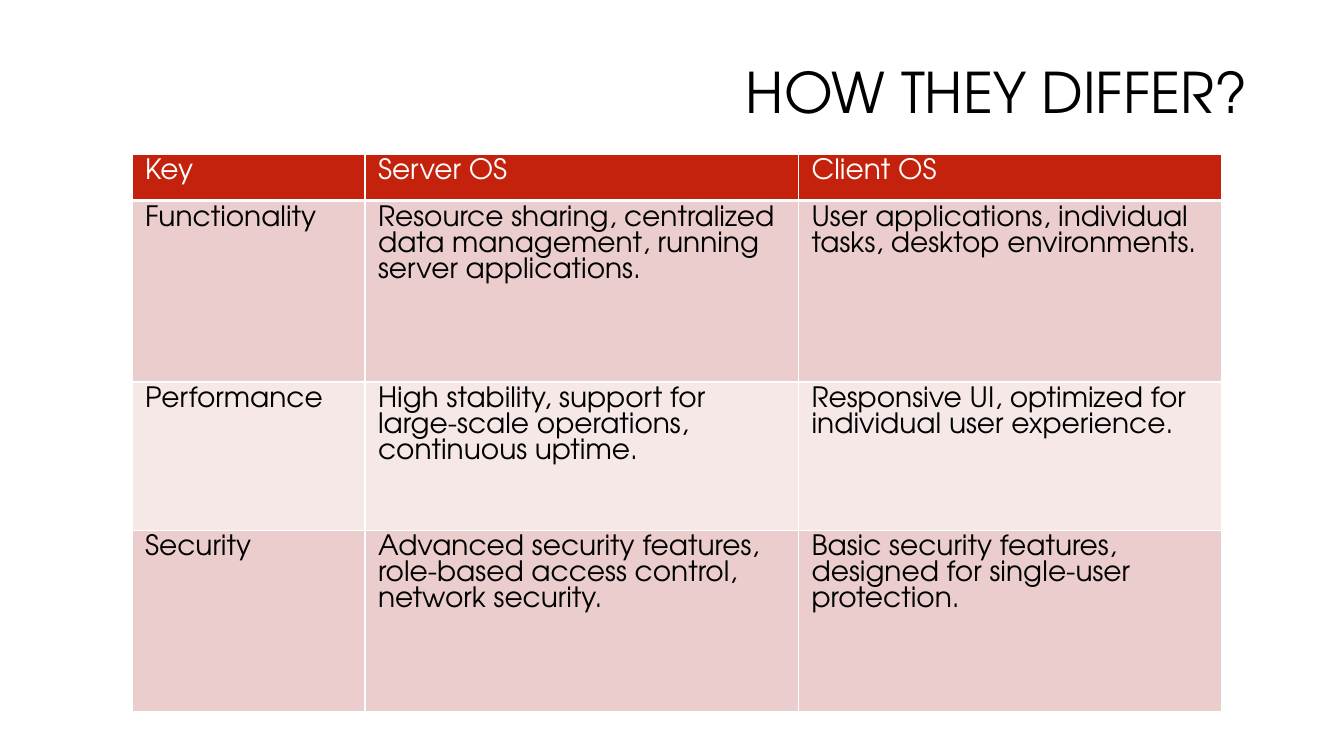
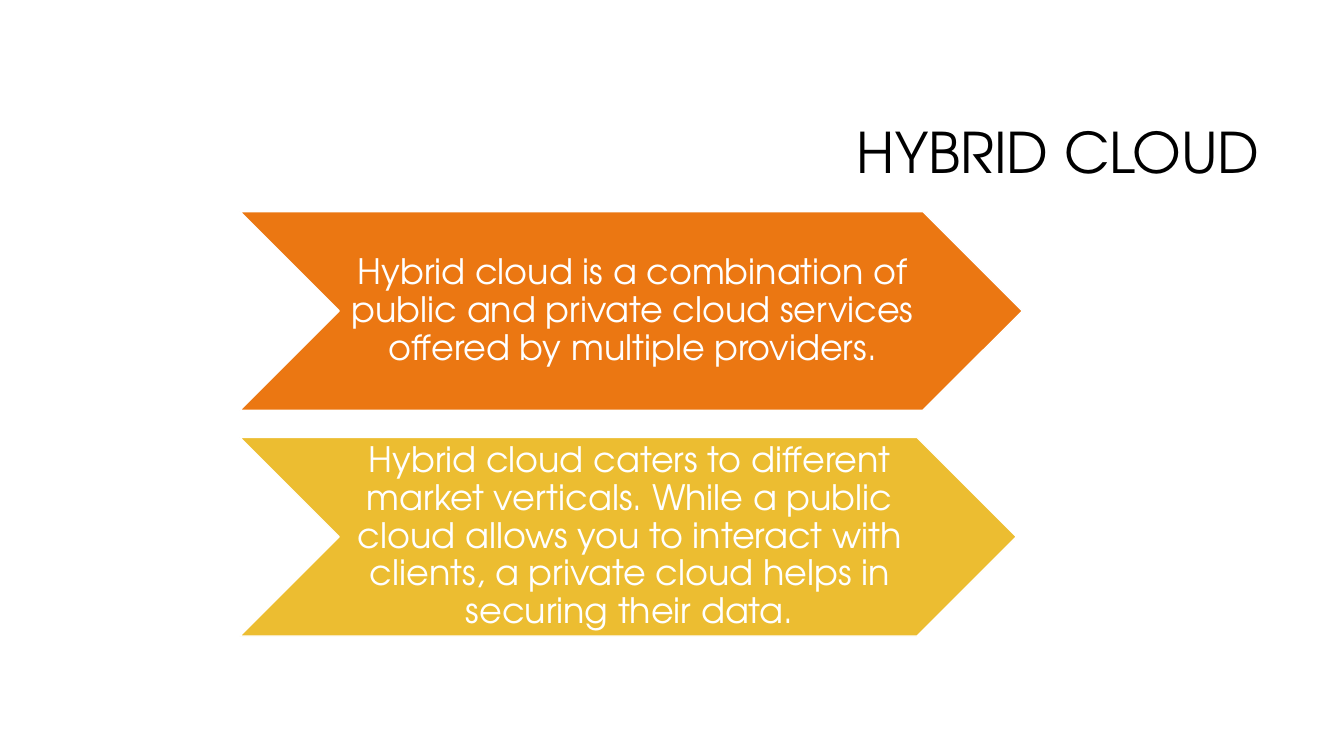
from dataclasses import dataclass

from lxml.etree import SubElement
from pptx import Presentation
from pptx.dml.color import RGBColor
from pptx.enum.shapes import MSO_SHAPE
from pptx.enum.text import MSO_ANCHOR, PP_ALIGN
from pptx.oxml.ns import qn
from pptx.slide import Slide
from pptx.table import _Cell
from pptx.text.text import TextFrame
from pptx.util import Inches, Pt


@dataclass(frozen=True)
class Theme:
    font: str = "TeX Gyre Adventor"
    ink: str = "000000"
    white: str = "FFFFFF"
    header: str = "C4220D"
    odd_row: str = "EACDCC"
    even_row: str = "F5E8E7"
    orange: str = "EB7712"
    yellow: str = "ECBD31"
    title_size: int = 40
    table_size: int = 20
    arrow_size: int = 25
    line_spacing: float = 0.9
    table_spacing: float = 1.0
    thin_line: int = 1
    header_line: int = 3


@dataclass(frozen=True)
class Arrow:
    text: str
    width: float
    color: str


THEME = Theme()

COLUMN_WIDTHS = (2.31, 4.3, 4.2)
ROW_HEIGHTS = (0.46, 1.8, 1.47, 1.8)
COMPARISON = (
    ("Key", "Server OS", "Client OS"),
    ("Functionality",
     "Resource sharing, centralized data management, running server applications.",
     "User applications, individual tasks, desktop environments."),
    ("Performance",
     "High stability, support for large-scale operations, continuous uptime.",
     "Responsive UI, optimized for individual user experience."),
    ("Security",
     "Advanced security features, role-based access control, network security.",
     "Basic security features, designed for single-user protection."),
)

ARROW_LEFT, ARROW_TOP, ARROW_HEIGHT, ARROW_PITCH = 2.38, 2.1, 1.97, 2.24
ARROWS = (
    Arrow("Hybrid cloud is a combination of public and private cloud services "
          "offered by multiple providers.", 7.76, THEME.orange),
    Arrow("Hybrid cloud caters to different market verticals. While a public cloud "
          "allows you to interact with clients, a private cloud helps in securing "
          "their data.", 7.7, THEME.yellow),
)


def write_text(frame: TextFrame, text: str, *, size: int, color: str,
               align: PP_ALIGN = PP_ALIGN.LEFT,
               spacing: float = THEME.line_spacing) -> None:
    frame.word_wrap = True
    paragraph = frame.paragraphs[0]
    paragraph.alignment = align
    paragraph.line_spacing = spacing
    run = paragraph.add_run()
    run.text = text
    run.font.name = THEME.font
    run.font.size = Pt(size)
    run.font.bold = False
    run.font.color.rgb = RGBColor.from_string(color)


def add_title(slide: Slide, text: str, left: float, top: float,
              width: float, height: float) -> None:
    title = slide.shapes.add_textbox(Inches(left), Inches(top),
                                     Inches(width), Inches(height))
    title.text_frame.vertical_anchor = MSO_ANCHOR.MIDDLE
    write_text(title.text_frame, text, size=THEME.title_size, color=THEME.ink,
               align=PP_ALIGN.RIGHT)


def add_borders(cell: _Cell, bottom: int) -> None:
    """Draw white cell borders; call before filling, as the schema orders them first."""
    properties = cell._tc.get_or_add_tcPr()
    thin = THEME.thin_line
    for side, points in (("L", thin), ("R", thin), ("T", thin), ("B", bottom)):
        line = SubElement(properties, qn(f"a:ln{side}"), w=str(Pt(points)))
        fill = SubElement(line, qn("a:solidFill"))
        SubElement(fill, qn("a:srgbClr"), val=THEME.white)


def add_comparison(slide: Slide) -> None:
    table = slide.shapes.add_table(
        len(ROW_HEIGHTS), len(COLUMN_WIDTHS), Inches(1.31), Inches(1.53),
        Inches(sum(COLUMN_WIDTHS)), Inches(sum(ROW_HEIGHTS))).table
    for column, width in zip(table.columns, COLUMN_WIDTHS):
        column.width = Inches(width)
    for index, (row, height, texts) in enumerate(
            zip(table.rows, ROW_HEIGHTS, COMPARISON)):
        row.height = Inches(height)
        is_header = index == 0
        band = THEME.odd_row if index % 2 else THEME.even_row
        for cell, text in zip(row.cells, texts):
            cell.margin_left = cell.margin_right = Inches(0.13)
            cell.margin_top = cell.margin_bottom = Inches(0.05)
            add_borders(cell, THEME.header_line if is_header else THEME.thin_line)
            cell.fill.solid()
            cell.fill.fore_color.rgb = RGBColor.from_string(
                THEME.header if is_header else band)
            write_text(cell.text_frame, text, size=THEME.table_size,
                       color=THEME.white if is_header else THEME.ink,
                       spacing=THEME.table_spacing)


def add_arrow(slide: Slide, arrow: Arrow, top: float) -> None:
    chevron = slide.shapes.add_shape(
        MSO_SHAPE.CHEVRON, Inches(ARROW_LEFT), Inches(top),
        Inches(arrow.width), Inches(ARROW_HEIGHT))
    chevron.shadow.inherit = False
    chevron.fill.solid()
    chevron.fill.fore_color.rgb = RGBColor.from_string(arrow.color)
    chevron.line.color.rgb = RGBColor.from_string(THEME.white)
    chevron.line.width = Pt(THEME.thin_line)
    frame = chevron.text_frame
    frame.vertical_anchor = MSO_ANCHOR.MIDDLE
    frame.margin_left, frame.margin_right = Inches(0.03), Inches(0)
    frame.margin_top = frame.margin_bottom = Inches(0.02)
    write_text(frame, arrow.text, size=THEME.arrow_size, color=THEME.white,
               align=PP_ALIGN.CENTER)


def main() -> None:
    presentation = Presentation()
    presentation.slide_width = Inches(13.33)
    presentation.slide_height = Inches(7.5)
    blank = presentation.slide_layouts[6]

    differences = presentation.slides.add_slide(blank)
    add_title(differences, "HOW THEY DIFFER?", 0.47, 0.18, 12, 1.53)
    add_comparison(differences)

    hybrid_cloud = presentation.slides.add_slide(blank)
    add_title(hybrid_cloud, "HYBRID CLOUD", 3.17, 0.84, 9.42, 1.41)
    for index, arrow in enumerate(ARROWS):
        add_arrow(hybrid_cloud, arrow, ARROW_TOP + index * ARROW_PITCH)

    presentation.save("out.pptx")


if __name__ == "__main__":
    main()
